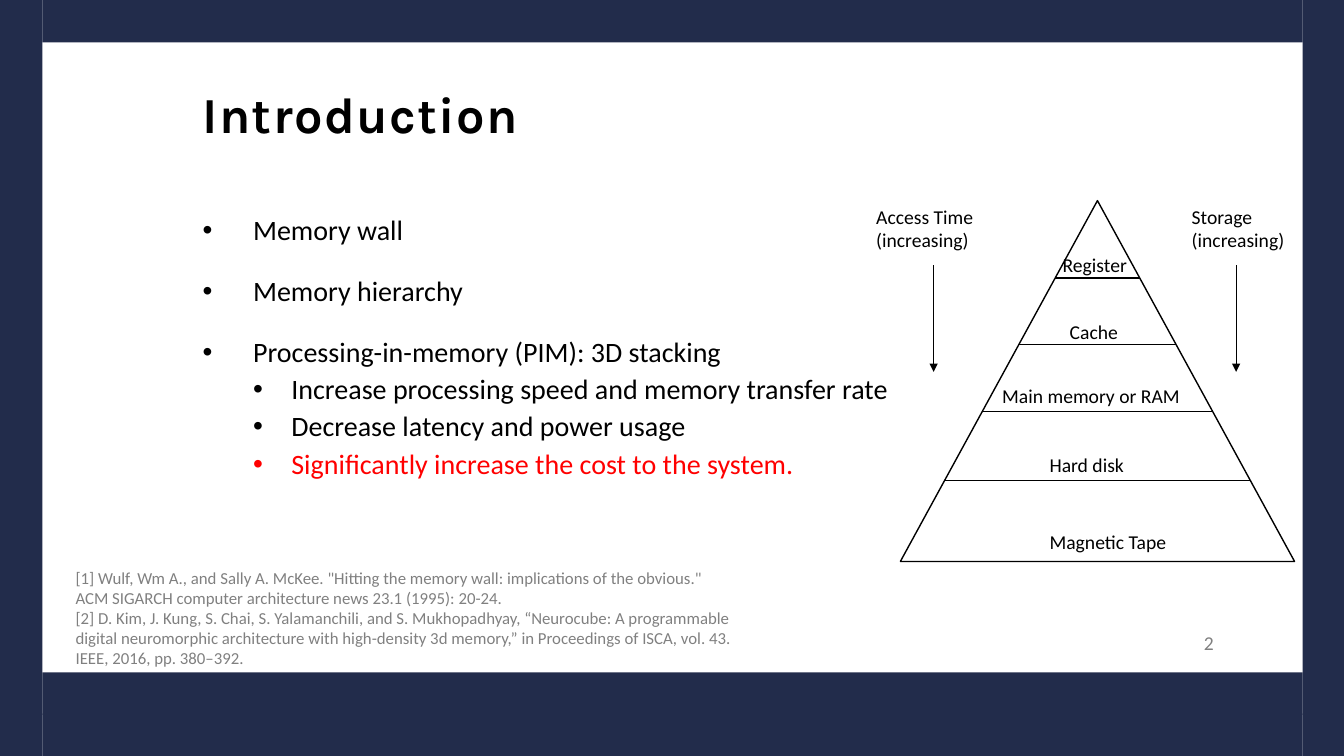
from lxml.etree import SubElement
from pptx import Presentation
from pptx.dml.color import RGBColor
from pptx.enum.shapes import MSO_CONNECTOR as Connector, MSO_SHAPE as Shape
from pptx.enum.text import MSO_ANCHOR as Anchor
from pptx.oxml.ns import qn
from pptx.util import Inches, Pt

COLORS = {"navy": "222C4B", "black": "000000", "red": "FF0000", "gray": "808080"}


class SlideBuilder:
    """Holds the style and the current slide."""

    font = "Calibri"
    inset = Inches(0.05)

    def __init__(self, slide):
        self.slide = slide

    def color(self, name):
        return RGBColor.from_string(COLORS[name])

    def bar(self, left, top, width, height):
        shape = self.slide.shapes.add_shape(
            Shape.RECTANGLE, Inches(left), Inches(top), Inches(width), Inches(height))
        shape.shadow.inherit = False
        shape.fill.solid()
        shape.fill.fore_color.rgb = self.color("navy")
        shape.line.fill.background()

    def triangle(self, left, top, width, height):
        shape = self.slide.shapes.add_shape(
            Shape.ISOSCELES_TRIANGLE, Inches(left), Inches(top), Inches(width), Inches(height))
        shape.shadow.inherit = False
        shape.fill.background()
        shape.line.color.rgb = self.color("black")
        shape.line.width = Pt(1)

    def line(self, x1, y1, x2, y2, width=1, arrow=False):
        connector = self.slide.shapes.add_connector(
            Connector.STRAIGHT, Inches(x1), Inches(y1), Inches(x2), Inches(y2))
        connector.line.color.rgb = self.color("black")
        connector.line.width = Pt(width)
        if arrow:
            SubElement(connector.line._get_or_add_ln(), qn("a:tailEnd"), type="triangle")
        SubElement(connector._element.spPr, qn("a:effectLst"))

    def style(self, paragraph, size, color, font=None, bold=False):
        for run in paragraph.runs:
            run.font.name = font or self.font
            run.font.size = Pt(size)
            run.font.bold = bold
            run.font.color.rgb = self.color(color)

    def text(self, left, top, width, height, lines, size=14, color="black",
             font=None, bold=False):
        box = self.slide.shapes.add_textbox(
            Inches(left), Inches(top), Inches(width), Inches(height))
        frame = box.text_frame
        frame.word_wrap = True
        frame.margin_left = frame.margin_right = self.inset
        frame.margin_top = frame.margin_bottom = self.inset
        frame.text = "\n".join(lines)
        for paragraph in frame.paragraphs:
            self.style(paragraph, size, color, font, bold)
        return frame

    def bullets(self, left, top, width, height, items, size):
        frame = self.text(left, top, width, height, [item[0] for item in items], size)
        for number, (paragraph, (_, level, color)) in enumerate(zip(frame.paragraphs, items)):
            margin, hanging, spacing, before = [(0.5, 0.5, 1.4, 10), (0.88, 0.38, 0.9, 5)][level]
            paragraph.level = level
            paragraph.line_spacing = spacing
            paragraph.space_before = Pt(before if number else 0)
            properties = paragraph._p.get_or_add_pPr()
            properties.set("marL", str(Inches(margin)))
            properties.set("indent", str(-Inches(hanging)))
            SubElement(properties, qn("a:buFont"), typeface="Arial")
            SubElement(properties, qn("a:buChar"), char="•")
            self.style(paragraph, size, color)


def main():
    presentation = Presentation()
    presentation.slide_width = Inches(13.33)
    presentation.slide_height = Inches(7.5)
    builder = SlideBuilder(presentation.slides.add_slide(presentation.slide_layouts[6]))

    # Frame around the page
    edge = 0.42
    for left in (0, 12.92):
        builder.bar(left, 0, edge, 7.5)
    for top in (0, 6.67, 7.08):
        builder.bar(edge, top, 12.5, edge)

    # Title
    title = builder.text(1.96, 0.81, 10.75, 0.7, ["Introduction"], 36, font="Karla", bold=True)
    title.vertical_anchor = Anchor.MIDDLE
    title.paragraphs[0].line_spacing = 0.9
    title.paragraphs[0].runs[0].font._element.set("spc", "100")

    # Main points
    builder.bullets(1.96, 1.93, 7.49, 3.4, [
        ("Memory wall", 0, "black"),
        ("Memory hierarchy", 0, "black"),
        ("Processing-in-memory (PIM): 3D stacking", 0, "black"),
        ("Increase processing speed and memory transfer rate", 1, "black"),
        ("Decrease latency and power usage", 1, "black"),
        ("Significantly increase the cost to the system.", 1, "red"),
    ], 20)

    # Memory pyramid: each divider spans the triangle at its height
    left, top, width, height = 8.93, 1.99, 3.91, 3.58
    builder.triangle(left, top, width, height)
    middle = left + width / 2
    for y in (2.76, 3.42, 4.08, 4.77):
        half = width / 2 * (y - top) / height
        builder.line(middle - half, y, middle + half, y)

    for label, x, y, label_width in [
        ("Register", 10.49, 2.46, 0.87),
        ("Cache", 10.56, 3.12, 0.69),
        ("Main memory or RAM", 9.89, 3.76, 2.16),
        ("Hard disk", 10.36, 4.44, 1.23),
        ("Magnetic Tape", 10.36, 5.21, 1.41),
    ]:
        builder.text(x, y, label_width, 0.32, [label])

    # Trends beside the pyramid
    builder.text(8.64, 1.98, 1.41, 0.54, ["Access Time (increasing)"])
    builder.text(11.77, 1.98, 1.23, 0.54, ["Storage", "(increasing)"])
    for x in (9.26, 12.26):
        builder.line(x, 2.63, x, 3.69, width=0.5, arrow=True)

    # Page number and references
    builder.text(11.89, 6.21, 0.41, 0.32, ["2"], color="gray")
    builder.text(0.7, 5.58, 6.67, 1.1, [
        '[1] Wulf, Wm A., and Sally A. McKee. "Hitting the memory wall: implications of the '
        'obvious." ACM SIGARCH computer architecture news 23.1 (1995): 20-24.',
        "[2] D. Kim, J. Kung, S. Chai, S. Yalamanchili, and S. Mukhopadhyay, “Neurocube: "
        "A programmable digital neuromorphic architecture with high-density 3d memory,” in "
        "Proceedings of ISCA, vol. 43. IEEE, 2016, pp. 380–392.",
    ], 12, "gray")

    presentation.save("out.pptx")


if __name__ == "__main__":
    main()
